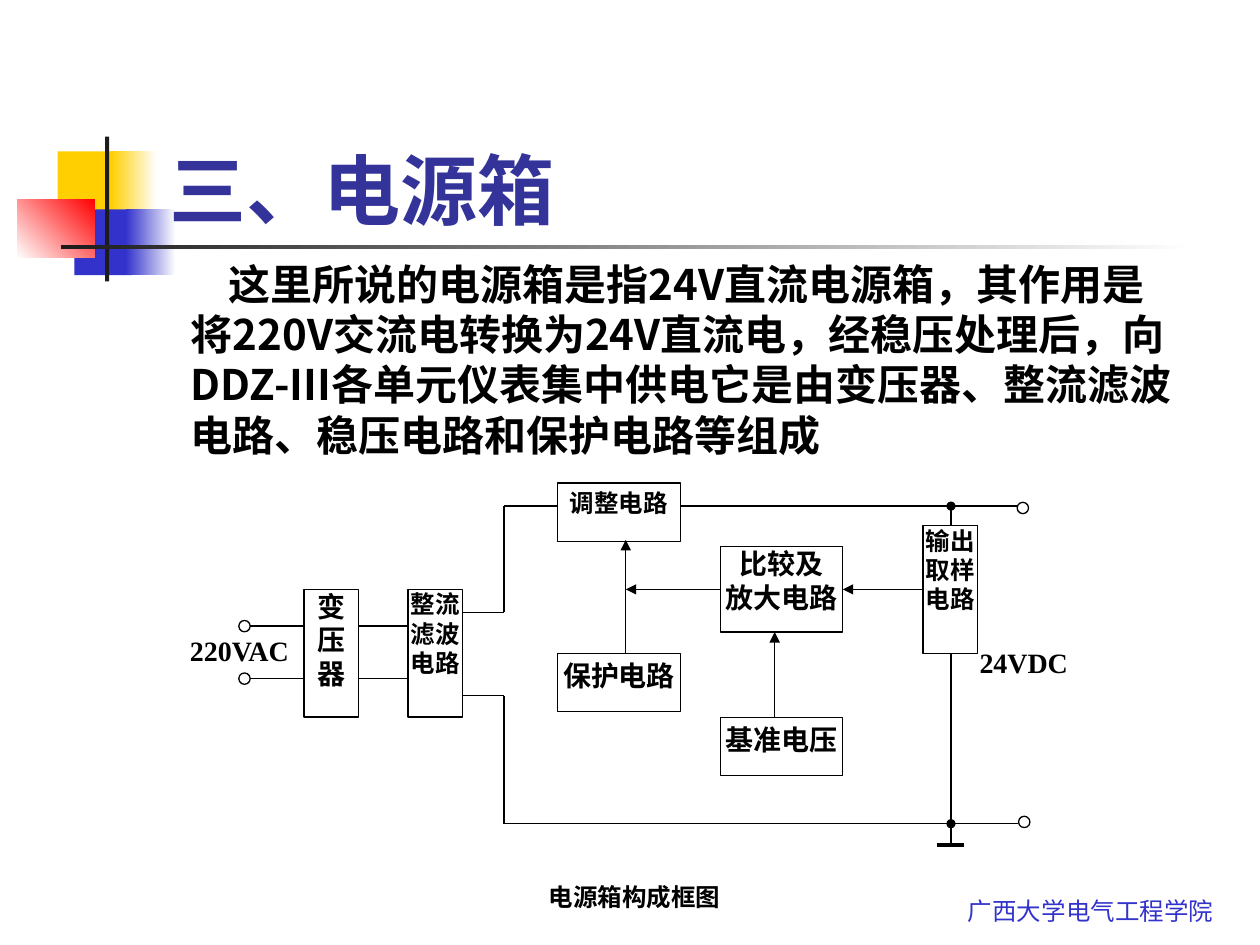
from lxml.etree import SubElement
from pptx import Presentation
from pptx.dml.color import RGBColor
from pptx.enum.shapes import MSO_CONNECTOR, MSO_SHAPE
from pptx.enum.text import MSO_ANCHOR, PP_ALIGN
from pptx.oxml.ns import qn
from pptx.util import Pt

COLORS = {
    "black": "000000",
    "white": "FFFFFF",
    "yellow": "FFCF01",
    "blue": "3333CC",
    "red": "FF0000",
    "charcoal": "1C1C1C",
    "title": "333399",
}


class SlideBuilder:
    font = "Times New Roman"
    line_width = 0.75

    def __init__(self, slide):
        self.slide = slide

    def color(self, name):
        return RGBColor.from_string(COLORS[name])

    def shape(self, kind, box, fill, line=None):
        shape = self.slide.shapes.add_shape(kind, *map(Pt, box))
        shape.shadow.inherit = False
        shape.fill.solid()
        shape.fill.fore_color.rgb = self.color(fill)
        if line:
            shape.line.color.rgb = self.color(line)
            shape.line.width = Pt(self.line_width)
        else:
            shape.line.fill.background()
        return shape

    def gradient(self, box, start, end, angle=0):
        shape = self.shape(MSO_SHAPE.RECTANGLE, box, start)
        shape.fill.gradient()
        shape.fill.gradient_angle = angle
        for stop, name in zip(shape.fill.gradient_stops, (start, end)):
            stop.color.rgb = self.color(name)

    def set_text(self, shape, text, size, color="black", font=None, bold=True,
                 align=PP_ALIGN.CENTER, insets=(0, 0, 0, 0), anchor=MSO_ANCHOR.TOP, wrap=True):
        frame = shape.text_frame
        frame.word_wrap = wrap
        frame.vertical_anchor = anchor
        frame.margin_left, frame.margin_top, frame.margin_right, frame.margin_bottom = map(Pt, insets)
        frame.text = text
        for paragraph in frame.paragraphs:
            paragraph.alignment = align
            paragraph.font.name = font or self.font
            paragraph.font.size = Pt(size)
            paragraph.font.bold = bold
            paragraph.font.color.rgb = self.color(color)
        return frame.paragraphs[0]

    def text(self, box, text, size, **style):
        return self.set_text(self.slide.shapes.add_textbox(*map(Pt, box)), text, size, **style)

    def block(self, box, text, size, top=0):
        shape = self.shape(MSO_SHAPE.RECTANGLE, box, "white", "black")
        self.set_text(shape, text, size, insets=(0, top, 0, 0))
        return shape

    def circle(self, center_x, center_y, diameter, fill):
        box = (center_x - diameter / 2, center_y - diameter / 2, diameter, diameter)
        self.shape(MSO_SHAPE.OVAL, box, fill, "black")

    def line(self, start_x, start_y, end_x, end_y, arrow=False, width=None):
        connector = self.slide.shapes.add_connector(
            MSO_CONNECTOR.STRAIGHT, *map(Pt, (start_x, start_y, end_x, end_y)))
        connector.line.color.rgb = self.color("black")
        connector.line.width = Pt(width or self.line_width)
        properties = connector._element.spPr
        if arrow:
            SubElement(properties.find(qn("a:ln")), qn("a:tailEnd"), type="triangle")
        SubElement(properties, qn("a:effectLst"))
        return connector


def add_decoration(builder):
    builder.shape(MSO_SHAPE.RECTANGLE, (33, 86.5, 34.5, 37.5), "yellow")
    builder.gradient((63.5, 86.5, 26, 37.5), "yellow", "white")
    builder.shape(MSO_SHAPE.RECTANGLE, (42.5, 119.7, 33, 37.5), "blue")
    builder.gradient((72, 119.7, 28.5, 37.5), "blue", "white")
    builder.gradient((9.8, 113.8, 44.4, 33.5), "white", "red", 45)
    builder.shape(MSO_SHAPE.RECTANGLE, (60, 78, 2.4, 82.8), "charcoal")
    builder.gradient((34.8, 140.1, 648, 2.5), "charcoal", "white")


def add_texts(builder):
    insets = (7.2, 3.6, 7.2, 3.6)
    builder.text((546, 508.3, 154.8, 24.5), "广西大学电气工程学院", 14, color="blue",
                 font="Roboto Condensed", bold=False, align=PP_ALIGN.LEFT, insets=insets, wrap=False)
    builder.text((90, 48, 612, 90), "三、电源箱", 44, color="title", font="Lato",
                 align=PP_ALIGN.LEFT, insets=insets, anchor=MSO_ANCHOR.BOTTOM)
    body = builder.text(
        (102, 144, 582, 122.4),
        "这里所说的电源箱是指24V直流电源箱，其作用是将220V交流电转换为24V直流电，经稳压处理后，"
        "向DDZ-III各单元仪表集中供电它是由变压器、整流滤波电路、稳压电路和保护电路等组成",
        24, font="Noto Sans CJK SC", align=PP_ALIGN.LEFT, insets=insets)
    body.line_spacing = Pt(28.8)
    body._p.get_or_add_pPr().set("indent", str(int(Pt(21.6))))


def add_diagram(builder):
    top_rail, bottom_rail, bus_x, feed_x, sense_y = 289.2, 470.7, 543.4, 288, 336.8
    input_rows = (357.8, 387.8)
    for row in input_rows:
        builder.line(142.5, row, 233.5, row)
    builder.line(bus_x, top_rail, bus_x, bottom_rail)
    builder.line(feed_x, top_rail, 581.8, top_rail)

    tall, wide = (31, 73), (70, 33.3)
    builder.block((233.2, 336.8, *tall), "整流滤波电路", 14)
    builder.block((173.8, 336.8, *tall), "变\n压\n器", 16)
    builder.block((318.7, 276, *wide), "调整电路", 14, 3)
    builder.block((318.7, 373.5, *wide), "保护电路", 16, 3)
    comparator = builder.block((411.6, 312.4, 70, 48.8), "比较及\n放大电路", 16)
    builder.block((411.6, 409.9, *wide), "基准电压", 16, 3)
    sampler = builder.block((527.5, 300.3, *tall), "输出取样电路", 14)

    for row in input_rows:
        builder.circle(139.7, row, 6.5, "white")
    for outlet_y, rail in ((397.6, bottom_rail), (350, top_rail)):
        builder.line(264.7, outlet_y, feed_x, outlet_y)
        builder.line(feed_x, outlet_y, feed_x, rail)
    builder.line(feed_x, bottom_rail, 581.8, bottom_rail)

    builder.line(357.6, 373.5, 357.6, 308.5, arrow=True)
    builder.line(442.7, 409.9, 442.7, 361.2, arrow=True)
    sense = builder.line(527.5, sense_y, 481.6, sense_y, arrow=True)
    sense.begin_connect(sampler, 1)
    sense.end_connect(comparator, 3)
    feedback = builder.line(411.6, sense_y, 357.6, sense_y, arrow=True)
    feedback.begin_connect(comparator, 1)

    builder.line(bus_x, bottom_rail, bus_x, 483)
    builder.line(535.6, 483, 551.1, 483, width=2.25)
    builder.circle(584.5, 290.3, 6.5, "white")
    builder.circle(585.3, 469.7, 6.5, "white")
    for rail in (top_rail, bottom_rail):
        builder.circle(bus_x, rail, 4.5, "black")

    builder.text((101.8, 359.2, 70, 33.3), "220VAC", 16, insets=(0, 3, 0, 0))
    builder.text((558, 365.7, 54, 33.3), "24VDC", 16, insets=(0, 3, 0, 0))
    builder.text((281.2, 504, 162.8, 24), "电源箱构成框图", 14)


def main():
    presentation = Presentation()
    presentation.slide_width = Pt(720)
    presentation.slide_height = Pt(540)
    builder = SlideBuilder(presentation.slides.add_slide(presentation.slide_layouts[6]))
    add_decoration(builder)
    add_texts(builder)
    add_diagram(builder)
    presentation.save("out.pptx")


if __name__ == "__main__":
    main()
